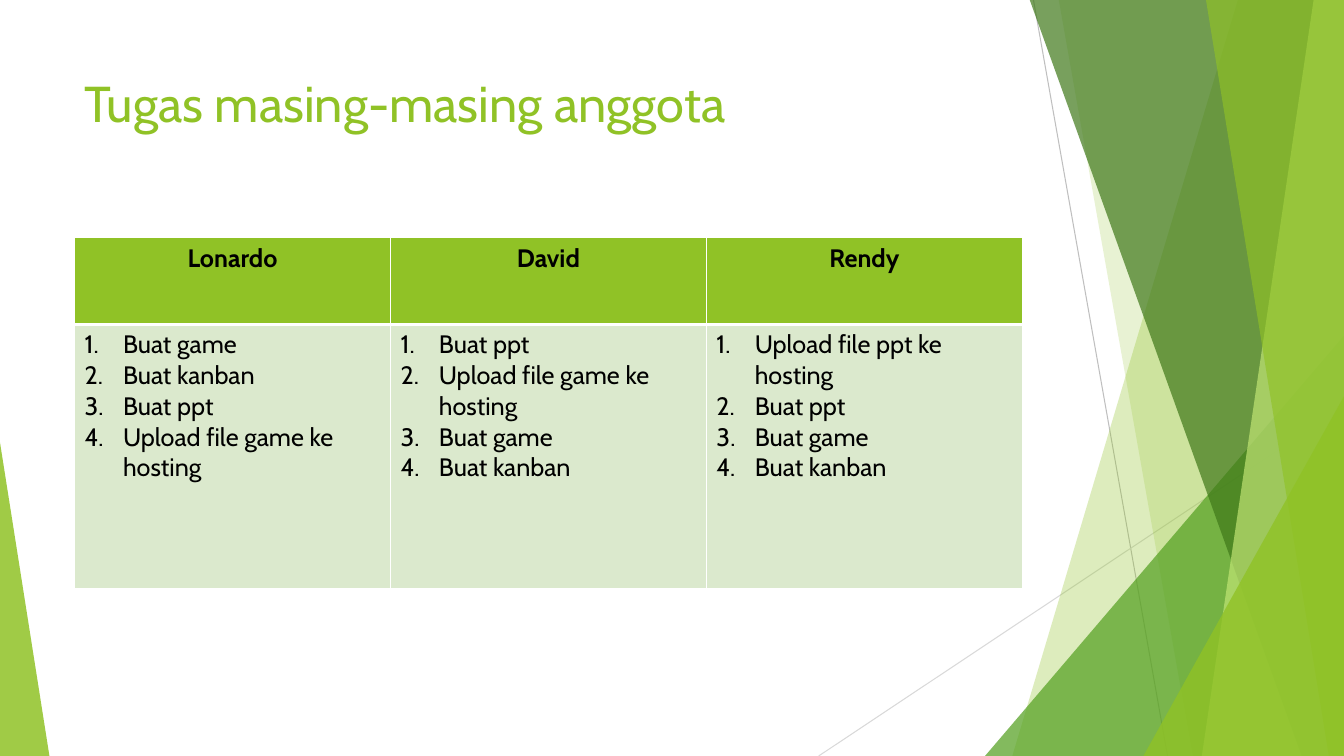
from lxml import etree
from pptx import Presentation
from pptx import util as u
from pptx.dml import color
from pptx.enum import shapes, text
from pptx.oxml import ns

LIME = color.RGBColor(0x90, 0xC2, 0x26)
GREEN = color.RGBColor(0x54, 0xA0, 0x21)
FOREST = color.RGBColor(0x3F, 0x78, 0x19)
PALE_LIME = color.RGBColor(0xC0, 0xE4, 0x74)
MINT = color.RGBColor(0xDB, 0xE9, 0xCD)
GRAY = color.RGBColor(0xBF, 0xBF, 0xBF)
LIGHT_GRAY = color.RGBColor(0xD9, 0xD9, 0xD9)
BLACK = color.RGBColor(0, 0, 0)
WHITE = color.RGBColor(0xFF, 0xFF, 0xFF)

WIDTH, HEIGHT, TOP = 13.33, 7.5, -0.01
LEFT, CONTENT_WIDTH = 0.74, 9.4
TASKS = {
    "Lonardo": ["Buat game", "Buat kanban", "Buat ppt", "Upload file game ke hosting"],
    "David": ["Buat ppt", "Upload file game ke hosting", "Buat game", "Buat kanban"],
    "Rendy": ["Upload file ppt ke hosting", "Buat ppt", "Buat game", "Buat kanban"],
}


class Deck:
    font = "Cabin"

    def __init__(self):
        self.prs = Presentation()
        self.prs.slide_width = u.Inches(WIDTH)
        self.prs.slide_height = u.Inches(HEIGHT)
        self.slide = self.prs.slides.add_slide(self.prs.slide_layouts[6])

    def child(self, parent, tag, **values):
        element = etree.SubElement(parent, ns.qn(tag))
        for key, value in values.items():
            element.set(key, str(value))
        return element

    def line(self, start, end, tint):
        ends = [u.Inches(n) for n in (*start, *end)]
        ray = self.slide.shapes.add_connector(shapes.MSO_CONNECTOR.STRAIGHT, *ends)
        ray.line.color.rgb = tint
        ray.line.width = u.Pt(0.75)
        self.child(ray._element.spPr, "a:effectLst")

    def paint(self, shape, tint, opacity):
        shape.shadow.inherit = False
        shape.line.fill.background()
        shape.fill.solid()
        shape.fill.fore_color.rgb = tint
        solid = shape._element.spPr.find(ns.qn("a:solidFill"))
        self.child(solid[0], "a:alpha", val=opacity * 1000)

    def band(self, top_left, bottom_left, tint, opacity):
        corners = [(top_left, TOP), (WIDTH, TOP), (WIDTH, HEIGHT), (bottom_left, HEIGHT)]
        first, *rest = [(u.Inches(x), u.Inches(y)) for x, y in corners]
        builder = self.slide.shapes.build_freeform(*first)
        builder.add_line_segments(rest, close=True)
        self.paint(builder.convert_to_shape(), tint, opacity)

    def triangle(self, left, top, width, apex, tint, opacity):
        box = [u.Inches(n) for n in (left, top, width, HEIGHT - top)]
        wedge = self.slide.shapes.add_shape(shapes.MSO_SHAPE.ISOSCELES_TRIANGLE, *box)
        wedge.adjustments[0] = apex
        self.paint(wedge, tint, opacity)

    def add_words(self, paragraph, words, size, tint, bold=False):
        run = paragraph.add_run()
        run.text = words
        style = {"name": self.font, "size": u.Pt(size), "bold": bold}
        for key, value in style.items():
            setattr(run.font, key, value)
        run.font.color.rgb = tint

    def title(self, words):
        box = [u.Inches(n) for n in (LEFT, 0.67, CONTENT_WIDTH, 1.44)]
        frame = self.slide.shapes.add_textbox(*box).text_frame
        layout = {"word_wrap": True, "vertical_anchor": text.MSO_ANCHOR.TOP}
        for key, value in layout.items():
            setattr(frame, key, value)
        self.add_words(frame.paragraphs[0], words, 36, LIME)

    def cell_style(self, cell, tint, borders):
        cell.fill.solid()
        cell.fill.fore_color.rgb = tint
        props = cell._tc.get_or_add_tcPr()
        for place, (side, points) in enumerate(borders.items()):
            edge = self.child(props, f"a:ln{side}", w=u.Pt(points))
            self.child(self.child(edge, "a:solidFill"), "a:srgbClr", val=WHITE)
            props.insert(place, edge)

    def number(self, paragraph):
        props = paragraph._p.get_or_add_pPr()
        props.set("marL", str(u.Inches(0.38)))
        props.set("indent", str(u.Inches(-0.38)))
        self.child(props, "a:buFont", typeface="+mj-lt")
        self.child(props, "a:buAutoNum", type="arabicPeriod")

    def task_table(self, tasks):
        heights = (0.86, 2.62)
        box = [u.Inches(n) for n in (LEFT, 2.36, CONTENT_WIDTH, sum(heights))]
        table = self.slide.shapes.add_table(2, len(tasks), *box).table
        for row, height in zip(table.rows, heights):
            row.height = u.Inches(height)
        for col, (member, duties) in enumerate(tasks.items()):
            table.columns[col].width = u.Inches(CONTENT_WIDTH / len(tasks))
            head, body = table.cell(0, col), table.cell(1, col)
            self.cell_style(head, LIME, {"L": 1, "R": 1, "T": 1, "B": 3})
            self.cell_style(body, MINT, {"L": 1, "R": 1, "T": 3, "B": 1})
            heading = head.text_frame.paragraphs[0]
            heading.alignment = text.PP_ALIGN.CENTER
            self.add_words(heading, member, 18, BLACK, bold=True)
            frame = body.text_frame
            for index, duty in enumerate(duties):
                paragraph = frame.add_paragraph() if index else frame.paragraphs[0]
                self.number(paragraph)
                self.add_words(paragraph, duty, 18, BLACK)


def main():
    deck = Deck()
    deck.line((10.25, 0), (11.58, HEIGHT), GRAY)
    deck.line((WIDTH, 4.03), (8.12, HEIGHT), LIGHT_GRAY)
    deck.band(12.28, 10.04, LIME, 30)
    deck.band(10.5, 11.83, LIME, 20)
    deck.triangle(9.77, 3.33, 3.56, 1, GREEN, 72)
    deck.band(10.21, 12.91, FOREST, 70)
    deck.band(13.03, 11.92, PALE_LIME, 70)
    deck.band(11.96, 13.18, LIME, 65)
    deck.triangle(11.34, 3.93, 1.99, 1, LIME, 80)
    deck.triangle(0, 4.39, 0.49, 0, LIME, 85)
    deck.title("Tugas masing-masing anggota")
    deck.task_table(TASKS)
    deck.prs.save("out.pptx")


if __name__ == "__main__":
    main()
